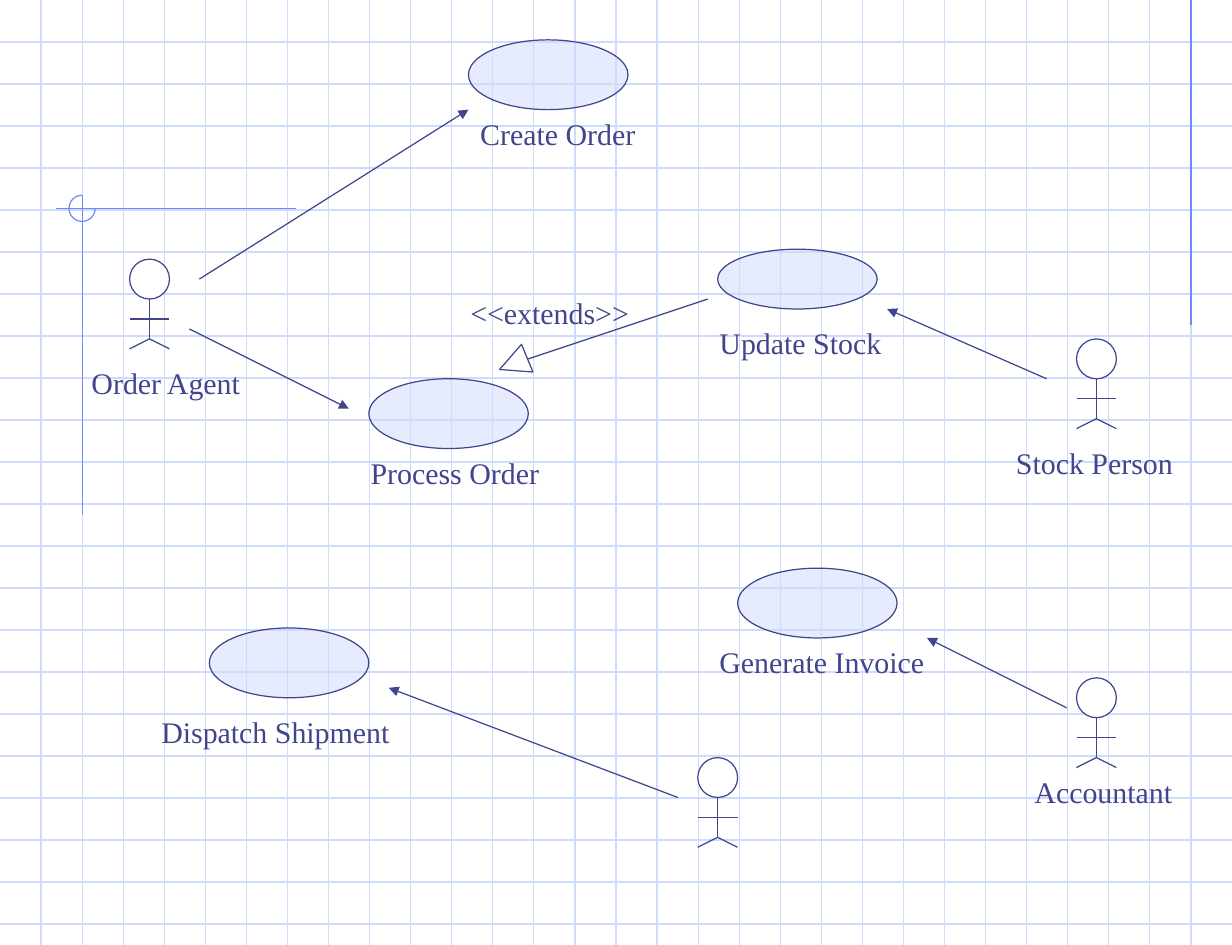
from dataclasses import dataclass

from pptx import Presentation
from pptx.dml.color import RGBColor
from pptx.enum.shapes import MSO_CONNECTOR, MSO_SHAPE
from pptx.enum.text import MSO_AUTO_SIZE
from pptx.oxml.ns import qn
from pptx.util import Pt
from lxml.etree import SubElement


@dataclass(frozen=True)
class Theme:
    ink: RGBColor = RGBColor.from_string("40458C")
    grid: RGBColor = RGBColor.from_string("CFDBFD")
    accent: RGBColor = RGBColor.from_string("6F89F7")
    paper: RGBColor = RGBColor.from_string("FFFFFF")
    font: str = "Times New Roman"
    label_size: float = 18
    stroke: float = 0.75
    use_case_opacity: int = 50


THEME = Theme()
SLIDE_WIDTH, SLIDE_HEIGHT = 741.6, 568.8
COLUMN, ROW = 24.72, 25.28
LABEL_HEIGHT = 28.8

# left, top, width, height
USE_CASES = [
    (282, 24, 96, 42),
    (432, 150, 96, 36),
    (222, 228, 96, 42),
    (444, 342, 96, 42),
    (126, 378, 96, 42),
]
# left, top of the head
ACTORS = [(648, 204), (648, 408), (78, 156), (420, 456)]
# text, left, top, width
LABELS = [
    ("Dispatch Shipment", 90, 426, 168),
    ("Process Order", 216, 270, 132),
    ("Update Stock", 426, 192, 126),
    ("Generate Invoice", 426, 384, 150),
    ("Create Order", 282, 66, 114),
    ("Stock Person", 604.5, 264, 114),
    ("Accountant", 615.6, 462, 126),
    ("Order Agent", 48, 216, 126),
    ("<<extends>>", 276, 174, 132),
]
# actor end, use case end
ASSOCIATIONS = [
    ((120, 168), (282, 66)),
    ((114, 198), (210, 246)),
    ((630, 228), (534, 186)),
    ((642, 426), (558, 384)),
    ((408, 480), (234, 414)),
]


def set_attributes(target, values):
    for name, value in values.items():
        setattr(target, name, value)


def add_line(shapes, start, end, color=THEME.ink, arrow=False):
    ends = [Pt(value) for value in (*start, *end)]
    line = shapes.add_connector(MSO_CONNECTOR.STRAIGHT, *ends)
    line.line.color.rgb = color
    line.line.width = Pt(THEME.stroke)
    if arrow:
        SubElement(line.line._get_or_add_ln(), qn("a:tailEnd"), type="triangle")
    SubElement(line._element.spPr, qn("a:effectLst"))


def add_outlined(shapes, kind, box, fill=None, color=THEME.ink):
    shape = shapes.add_shape(kind, *(Pt(value) for value in box))
    shape.shadow.inherit = False
    shape.line.color.rgb = color
    shape.line.width = Pt(THEME.stroke)
    if fill is None:
        shape.fill.background()
    else:
        shape.fill.solid()
        shape.fill.fore_color.rgb = fill
    return shape


def add_use_case(shapes, box):
    oval = add_outlined(shapes, MSO_SHAPE.OVAL, box, THEME.grid)
    fill_color = oval._element.spPr.find(qn("a:solidFill"))[0]
    SubElement(fill_color, qn("a:alpha"), val=str(THEME.use_case_opacity * 1000))


def add_actor(shapes, left, top):
    """Draw a stick figure with its head at left, top."""
    head = 24
    right, middle = left + head, left + head / 2
    neck, arms, hips, feet = (top + drop for drop in (24, 36, 48, 54))
    add_outlined(shapes, MSO_SHAPE.OVAL, (left, top, head, head), THEME.paper)
    for start, end in [
        ((middle, neck), (middle, hips)),
        ((middle, hips), (left, feet)),
        ((middle, hips), (right, feet)),
        ((left, arms), (right, arms)),
    ]:
        add_line(shapes, start, end)


def add_label(shapes, text, left, top, width):
    box = shapes.add_textbox(Pt(left), Pt(top), Pt(width), Pt(LABEL_HEIGHT))
    set_attributes(box.text_frame, {
        "word_wrap": True,
        "auto_size": MSO_AUTO_SIZE.SHAPE_TO_FIT_TEXT,
        "margin_left": Pt(7.2),
        "margin_right": Pt(7.2),
        "margin_top": Pt(3.6),
        "margin_bottom": Pt(3.6),
    })
    paragraph = box.text_frame.paragraphs[0]
    run = paragraph.add_run()
    run.text = text
    set_attributes(run.font, {"name": THEME.font, "size": Pt(THEME.label_size)})
    run.font.color.rgb = THEME.ink


def add_graph_paper(shapes):
    for index in range(1, int(SLIDE_HEIGHT / ROW) + 1):
        add_line(shapes, (0, index * ROW), (SLIDE_WIDTH, index * ROW), THEME.grid)
    for index in range(1, round(SLIDE_WIDTH / COLUMN)):
        add_line(shapes, (index * COLUMN, 0), (index * COLUMN, SLIDE_HEIGHT), THEME.grid)


def add_margin_marks(shapes):
    """Draw the accent rules and the open circle where two of them cross."""
    center_x, center_y, radius = 2 * COLUMN, 125.4, 7.9
    right_rule = 29 * COLUMN
    for start, end in [
        ((right_rule, 0), (right_rule, 195.8)),
        ((178.4, center_y), (33.8, center_y)),
        ((center_x, center_y - radius), (center_x, 310.3)),
    ]:
        add_line(shapes, start, end, THEME.accent)
    box = (center_x - radius, center_y - radius, 2 * radius, 2 * radius)
    arc = add_outlined(shapes, MSO_SHAPE.ARC, box, color=THEME.accent)
    for index, degrees in enumerate((0, 270)):
        arc.adjustments[index] = degrees * 0.6


def add_extends_arrow(shapes):
    add_line(shapes, (426, 180), (318, 216))
    box = (300, 210, 18, 18)
    head = add_outlined(shapes, MSO_SHAPE.ISOSCELES_TRIANGLE, box, THEME.paper)
    head.rotation = 247.7


def main():
    presentation = Presentation()
    set_attributes(presentation, {
        "slide_width": Pt(SLIDE_WIDTH),
        "slide_height": Pt(SLIDE_HEIGHT),
    })
    slide = presentation.slides.add_slide(presentation.slide_layouts[6])
    shapes = slide.shapes
    add_graph_paper(shapes)
    add_margin_marks(shapes)
    for box in USE_CASES:
        add_use_case(shapes, box)
    for actor in ACTORS:
        add_actor(shapes, *actor)
    for start, end in ASSOCIATIONS:
        add_line(shapes, start, end, arrow=True)
    add_extends_arrow(shapes)
    for label in LABELS:
        add_label(shapes, *label)
    presentation.save("out.pptx")


if __name__ == "__main__":
    main()
